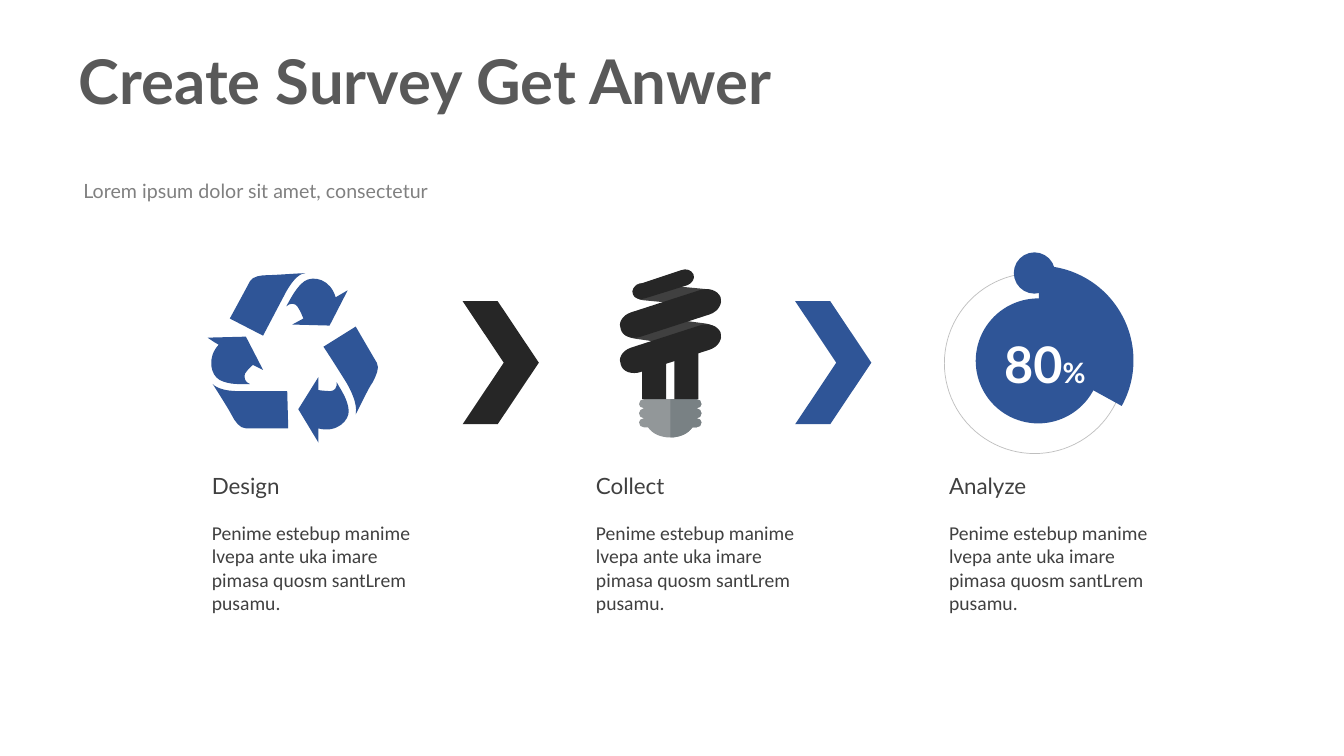
from dataclasses import dataclass

from lxml.etree import SubElement
from pptx import Presentation
from pptx.chart.data import CategoryChartData
from pptx.dml.color import RGBColor
from pptx.enum.chart import XL_CHART_TYPE as ChartType
from pptx.enum.shapes import MSO_SHAPE as Shape
from pptx.enum.text import MSO_ANCHOR as Anchor, MSO_AUTO_SIZE as AutoSize, PP_ALIGN as Align
from pptx.oxml.ns import qn
from pptx.util import Cm, Pt


@dataclass(frozen=True)
class Theme:
    blue: str = "2F5597"
    dark: str = "262626"
    shade: str = "404040"
    title: str = "595959"
    subtitle: str = "808080"
    hairline: str = "BFBFBF"
    base_light: str = "929799"
    base_dark: str = "798184"
    white: str = "FFFFFF"
    font: str = "Lato"
    body_font: str = "Calibri"
    title_size: int = 44
    value_size: int = 36
    unit_size: int = 20
    heading_size: int = 16
    body_size: int = 14
    chart_size: int = 10


T = Theme()
GRID = 0.0254  # cm per unit of the icon outlines
BODY = "Penime estebup manime lvepa ante uka imare pimasa quosm santLrem pusamu."
STEPS = [(5.09, "Design"), (14.77, "Collect"), (23.67, "Analyze")]

# Outlines: a pair is a straight line to a point, six numbers are a cubic curve.
RECYCLE = [
    [(218, 377), (228, 382, 238, 381, 248, 381), (243, 379, 242, 375, 243, 371),
     (245, 367, 251, 362, 251, 362), (261, 367), (244, 334), (206, 335),
     (206, 335, 213, 340, 217, 342), (205, 355, 209, 372, 218, 377)],
    [(242, 388), (218, 389, 212, 382, 211, 381), (213, 384, 227, 406, 230, 412),
     (233, 418, 238, 425, 244, 425), (286, 425), (285, 388)],
    [(328, 388), (323, 388, 316, 387, 316, 387), (316, 374), (296, 406), (316, 439),
     (316, 425), (334, 430, 347, 417, 346, 407), (345, 396, 339, 388, 334, 379),
     (335, 384, 332, 388, 328, 388)],
    [(374, 360), (371, 355, 353, 324, 353, 324), (321, 344),
     (321, 344, 329, 356, 344, 380), (356, 401, 353, 409, 353, 411),
     (355, 408, 366, 384, 370, 379), (373, 373, 377, 365, 374, 360)],
    [(327, 323), (345, 288), (345, 288, 338, 292, 333, 295),
     (328, 277, 311, 273, 302, 279), (294, 285, 289, 295, 284, 304),
     (288, 300, 293, 301, 295, 304), (298, 308, 301, 316, 301, 316), (290, 322)],
    [(281, 295), (292, 273, 300, 271, 303, 271), (298, 271, 272, 273, 266, 273),
     (259, 273, 251, 274, 248, 279), (245, 285, 228, 316, 228, 316), (261, 333)],
]
COIL_BACKS = [
    [(700, 321), (632, 312), (623, 311, 616, 315, 616, 322), (615, 329, 622, 335, 630, 336),
     (699, 346), (707, 347, 714, 342, 715, 336), (715, 329, 709, 322, 700, 321)],
    [(702, 287), (639, 281), (633, 280, 628, 284, 628, 289), (628, 294, 633, 298, 639, 298),
     (702, 304), (707, 304, 712, 301, 712, 296), (712, 291, 707, 287, 702, 287)],
]
COIL = [(636, 334), (704, 312), (713, 309, 717, 301, 715, 295), (712, 288, 703, 285, 694, 288),
        (626, 310), (617, 313, 613, 321, 616, 327), (618, 334, 627, 337, 636, 334)]
COIL_TIP = [(640, 296), (682, 283), (687, 281, 690, 276, 688, 272),
            (686, 268, 681, 266, 676, 268), (634, 282), (629, 284, 626, 288, 628, 292),
            (629, 296, 635, 298, 640, 296)]
TUBES = [[(661, 360), (637, 368), (637, 396), (661, 396)],
         [(693, 350), (669, 357), (669, 396), (693, 396)]]
BASE_HALF = [(665, 396), (691, 396), (694, 396, 696, 398, 696, 401),
             (696, 403, 694, 405, 691, 405), (694, 405, 696, 408, 696, 410),
             (696, 413, 694, 415, 691, 415), (694, 415, 696, 417, 696, 419),
             (696, 422, 694, 424, 691, 424), (687, 424), (683, 430, 675, 434, 665, 434)]
BULB_AXIS = 665
COIL_PITCH = 35


def rgb(color):
    return RGBColor.from_string(color)


def paint(sp, fill=None, line=None):
    sp.shadow.inherit = False
    if fill:
        sp.fill.solid()
        sp.fill.fore_color.rgb = rgb(fill)
    else:
        sp.fill.background()
    if line:
        sp.line.color.rgb = rgb(line)
        sp.line.width = Pt(0.5)
    else:
        sp.line.fill.background()


def style(r, size, color, font=T.font, bold=False):
    r.font.name, r.font.size, r.font.bold = font, Pt(size), bold
    r.font.color.rgb = rgb(color)


def add_text(slide, box, text, size, color, font=T.font):
    tf = slide.shapes.add_textbox(*map(Cm, box)).text_frame
    tf.word_wrap = True
    tf.text = text
    style(tf.paragraphs[0].runs[0], size, color, font)


def add_preset(slide, kind, box, fill=None, line=None):
    sp = slide.shapes.add_shape(kind, *map(Cm, box))
    paint(sp, fill, line)
    return sp


def pairs(segment):
    return list(zip(segment[::2], segment[1::2]))


def add_outline(slide, outline, fill):
    """Draw a closed outline, then turn its six-number segments into curves."""
    ends = [(Cm(x * GRID), Cm(y * GRID)) for x, y in (segment[-2:] for segment in outline)]
    builder = slide.shapes.build_freeform(*ends[0])
    builder.add_line_segments(ends[1:], close=True)
    sp = builder.convert_to_shape()
    paint(sp, fill)
    lines = list(sp.element.iter(qn("a:lnTo")))
    for line, segment in zip(lines, outline[1:]):
        if len(segment) == 2:
            continue
        curve = line.makeelement(qn("a:cubicBezTo"))
        for x, y in pairs(segment):
            SubElement(curve, qn("a:pt"), x=str(Cm(x * GRID) - sp.left),
                       y=str(Cm(y * GRID) - sp.top))
        line.getparent().replace(line, curve)


def mirrored_return(outline, axis):
    """Return the segments that lead back to the start on the other side of the axis."""
    back = []
    for start, segment in reversed(list(zip(outline, outline[1:]))):
        points = pairs(segment)[-2::-1] + [start[-2:]]
        back.append(tuple(v for x, y in points for v in (2 * axis - x, y)))
    return back


def add_bulb(slide):
    for outline in COIL_BACKS:
        add_outline(slide, outline, T.shade)
    add_outline(slide, BASE_HALF + mirrored_return(BASE_HALF, BULB_AXIS), T.base_light)
    add_outline(slide, BASE_HALF, T.base_dark)
    lower_coil = [tuple(v + COIL_PITCH * (i % 2) for i, v in enumerate(segment))
                  for segment in COIL]
    for outline in (COIL, COIL_TIP, *TUBES, lower_coil):
        add_outline(slide, outline, T.dark)


def add_ring_chart(slide, box):
    data = CategoryChartData()
    data.categories = ["1", "2"]
    data.add_series("Series 1", (33, 67))
    chart = slide.shapes.add_chart(ChartType.DOUGHNUT, *map(Cm, box), data).chart
    chart.has_legend = chart.has_title = False
    chart.font.name, chart.font.size = T.body_font, Pt(T.chart_size)
    plot = chart.plots[0]
    plot.vary_by_categories = True
    points = plot.series[0].points
    for i in range(2):
        points[i].format.line.fill.background()
    points[0].format.fill.solid()
    points[0].format.fill.fore_color.rgb = rgb(T.blue)
    points[1].format.fill.background()

    area = chart.element.find(".//" + qn("c:plotArea"))
    area.find(".//" + qn("c:holeSize")).set("val", "84")
    layout = area.find(qn("c:layout"))
    if layout is None:
        layout = SubElement(area, qn("c:layout"))
        area.insert(0, layout)
    manual = SubElement(layout, qn("c:manualLayout"))
    for tag, value in [("layoutTarget", "inner"), ("xMode", "edge"), ("yMode", "edge"),
                       ("x", "0.09"), ("y", "0.07"), ("w", "0.82"), ("h", "0.87")]:
        SubElement(manual, qn("c:" + tag)).set("val", value)


def add_gauge(slide):
    for left, top, size, fill, line in [(23.8, 6.88, 4.55, None, T.hairline),
                                        (24.59, 7.52, 3.15, T.blue, None),
                                        (25.55, 6.36, 1.04, T.blue, None)]:
        add_preset(slide, Shape.OVAL, (left, top, size, size), fill, line)
    add_ring_chart(slide, (23.27, 6.3, 5.82, 5.51))
    tf = slide.shapes.add_textbox(Cm(24.99), Cm(8.28), Cm(2.69), Cm(1.8)).text_frame
    tf.word_wrap = True
    p = tf.paragraphs[0]
    p.alignment = Align.CENTER
    for text, size in [("80", T.value_size), ("%", T.unit_size)]:
        r = p.add_run()
        r.text = text
        style(r, size, T.white, bold=True)


def set_title(slide, text):
    sp = slide.shapes.title
    sp.left, sp.top, sp.width, sp.height = map(Cm, (1.73, 1.4, 20.22, 1.68))
    tf = sp.text_frame
    tf.text = text
    tf.word_wrap, tf.auto_size, tf.vertical_anchor = True, AutoSize.NONE, Anchor.TOP
    p = tf.paragraphs[0]
    p.alignment, p.line_spacing = Align.LEFT, Pt(40)
    style(p.runs[0], T.title_size, T.title, bold=True)


def main():
    prs = Presentation()
    prs.slide_width, prs.slide_height = Cm(33.87), Cm(19.05)
    slide = prs.slides.add_slide(prs.slide_layouts[5])
    set_title(slide, "Create Survey Get Anwer")
    add_text(slide, (1.85, 4.38, 10.8, 1.45), "Lorem ipsum dolor sit amet, consectetur",
             T.body_size, T.subtitle)
    for left, heading in STEPS:
        add_text(slide, (left, 11.77, 5.41, 0.94), heading, T.heading_size, T.shade)
        add_text(slide, (left, 12.99, 5.99, 2.64), BODY, T.body_size, T.shade, T.body_font)
    for left, color in [(11.66, T.dark), (20.04, T.blue)]:
        chevron = add_preset(slide, Shape.CHEVRON, (left, 7.59, 1.92, 3.1), color)
        chevron.adjustments[0] = 0.54
    for outline in RECYCLE:
        add_outline(slide, outline, T.blue)
    add_bulb(slide)
    add_gauge(slide)
    prs.save("out.pptx")


if __name__ == "__main__":
    main()
